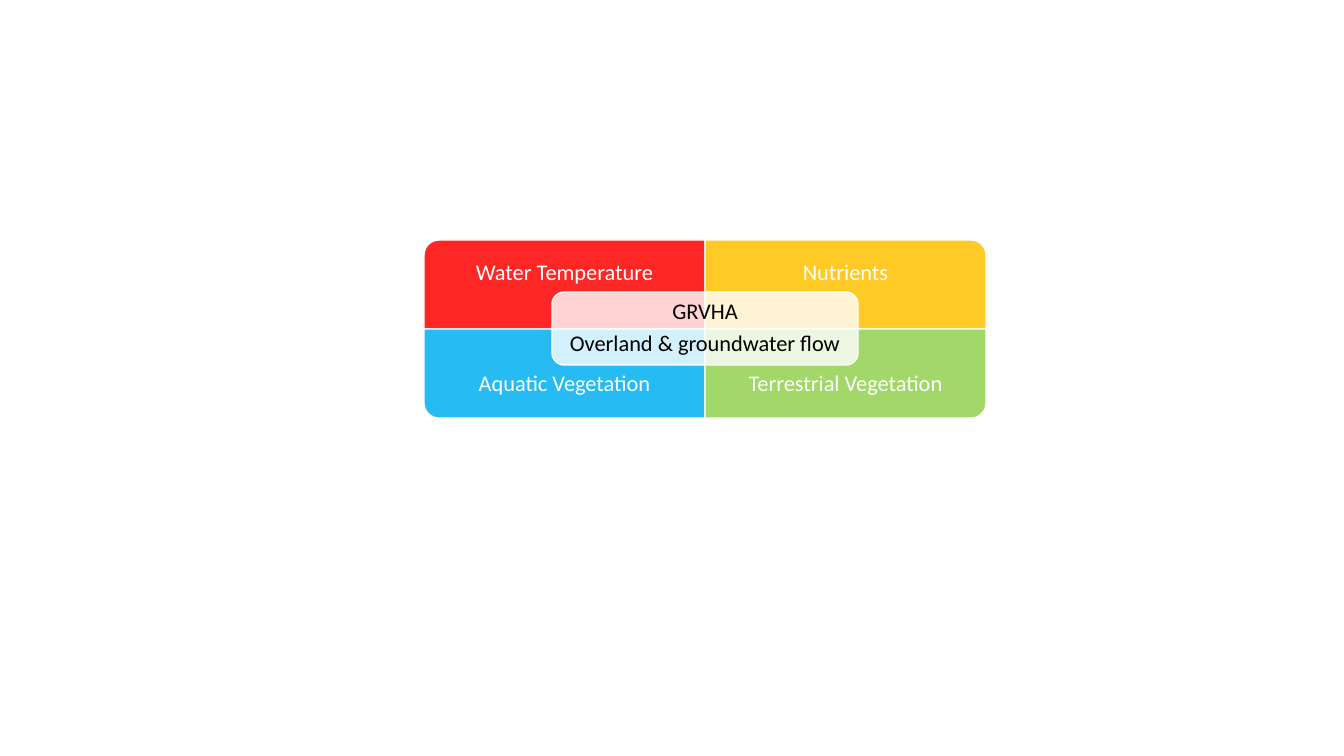
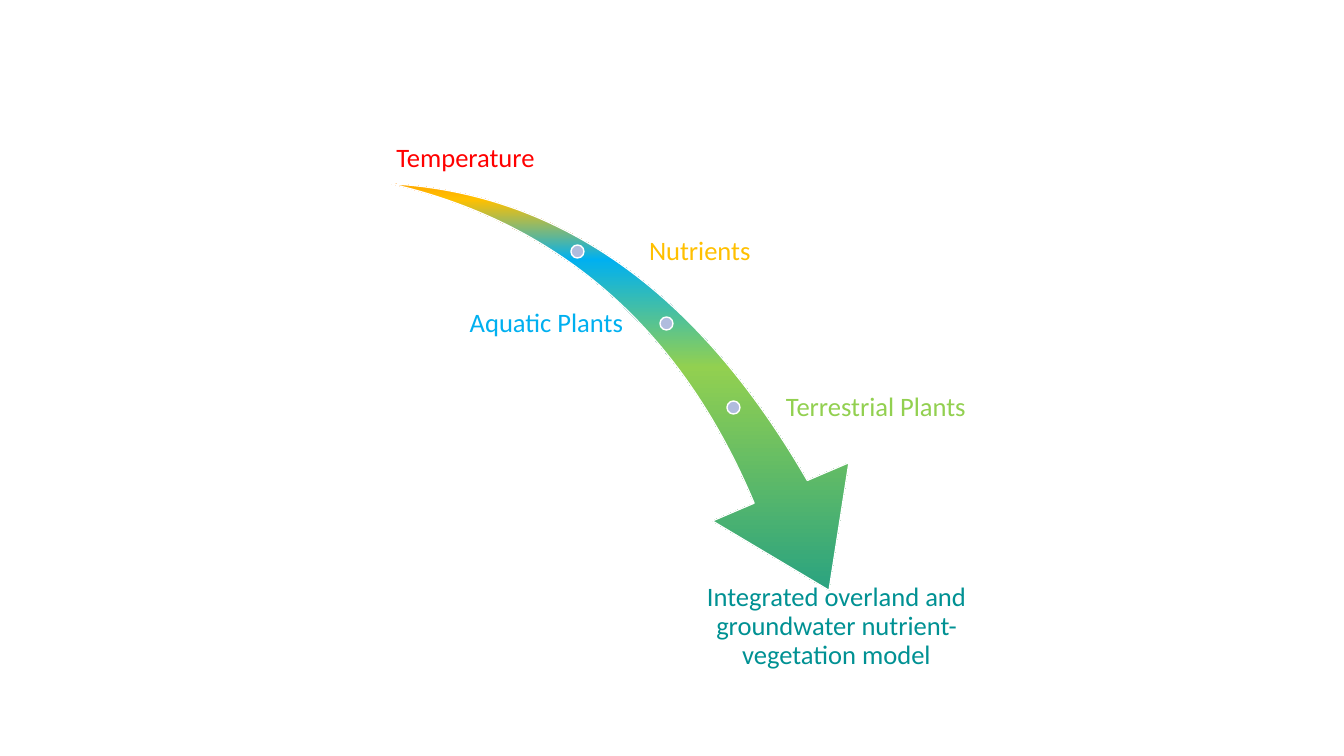
"""Build two diagrams of an overland and groundwater vegetation model."""
from dataclasses import dataclass

from lxml.etree import SubElement
from pptx import Presentation
from pptx.dml.color import RGBColor
from pptx.enum.shapes import MSO_SHAPE as Preset
from pptx.enum.text import MSO_ANCHOR as Anchor, PP_ALIGN as Align
from pptx.oxml.ns import qn
from pptx.shapes.autoshape import Shape
from pptx.slide import Slide
from pptx.util import Emu, Pt


@dataclass(frozen=True)
class Theme:
    font: str = "Calibri"
    white: str = "FFFFFF"
    black: str = "000000"
    temperature: str = "FF0000"
    nutrients: str = "FFC000"
    aquatic: str = "00B0F0"
    terrestrial: str = "92D050"
    model: str = "009193"
    dot: str = "B0BCDE"
    matrix_size: int = 16
    stage_size: int = 19
    outline: int = 1
    line_spacing: float = 0.9
    space_after: float = 0.35


@dataclass(frozen=True)
class Box:
    left: int
    top: int
    width: int
    height: int


@dataclass(frozen=True)
class Quadrant:
    label: str
    color: str
    column: int
    row: int
    rotation: int


@dataclass(frozen=True)
class Stage:
    label: str
    color: str
    box: Box
    align: Align
    anchor: Anchor = Anchor.MIDDLE
    dot_left: int | None = None


THEME = Theme()
EMU_PER_PIXEL = 914400 / 100.8

MATRIX = Box(424, 240, 562, 178)
QUADRANT_LABEL_HEIGHT = 67
QUADRANTS = [
    Quadrant("Water Temperature", THEME.temperature, 0, 0, 270),
    Quadrant("Nutrients", THEME.nutrients, 1, 0, 0),
    Quadrant("Aquatic Vegetation", THEME.aquatic, 0, 1, 180),
    Quadrant("Terrestrial Vegetation", THEME.terrestrial, 1, 1, 90),
]
CORE = Box(552, 292, 306, 73)
CORE_LINES = ["GRVHA", "Overland & groundwater flow"]

SWOOSH = Box(378, 199, 516, 360)
SWOOSH_STOPS = {0: THEME.temperature, 20: THEME.nutrients, 30: THEME.aquatic,
                48: THEME.terrestrial, 100: THEME.model}
DOT_SIZE = 13
STAGES = [
    Stage("Temperature", THEME.temperature, Box(344, 80, 243, 96),
          Align.CENTER, Anchor.BOTTOM),
    Stage("Nutrients", THEME.nutrients, Box(646, 204, 355, 96),
          Align.LEFT, dot_left=571),
    Stage("Aquatic Plants", THEME.aquatic, Box(344, 276, 282, 96),
          Align.RIGHT, dot_left=660),
    Stage("Terrestrial Plants", THEME.terrestrial, Box(783, 360, 217, 96),
          Align.LEFT, dot_left=727),
    Stage("Integrated overland and groundwater nutrient-vegetation model",
          THEME.model, Box(672, 581, 329, 96), Align.CENTER, Anchor.TOP),
]


def px(pixels: float) -> Emu:
    return Emu(round(pixels * EMU_PER_PIXEL))


def place(box: Box) -> tuple[Emu, Emu, Emu, Emu]:
    return px(box.left), px(box.top), px(box.width), px(box.height)


def apply_format(target: object, values: dict[str, object]) -> None:
    for name, value in values.items():
        setattr(target, name, value)


def write_text(shape: Shape, lines: list[str], size: int, color: str, inset: int,
               align: Align = Align.CENTER, anchor: Anchor = Anchor.MIDDLE) -> None:
    frame = shape.text_frame
    margins = {f"margin_{side}": px(inset) for side in ("left", "top", "right", "bottom")}
    apply_format(frame, {"word_wrap": True, "vertical_anchor": anchor, **margins})
    frame.text = "\n".join(lines)
    for paragraph in frame.paragraphs:
        apply_format(paragraph, {"alignment": align, "line_spacing": THEME.line_spacing,
                                 "space_after": Pt(size * THEME.space_after)})
        apply_format(paragraph.runs[0].font, {"name": THEME.font, "size": Pt(size)})
        paragraph.runs[0].font.color.rgb = RGBColor.from_string(color)


def add_outlined(slide: Slide, preset: Preset, box: Box, rotation: float = 0) -> Shape:
    shape = slide.shapes.add_shape(preset, *place(box))
    shape.rotation = rotation
    shape.shadow.inherit = False
    shape.line.color.rgb = RGBColor.from_string(THEME.white)
    shape.line.width = Pt(THEME.outline)
    return shape


def fill_solid(shape: Shape, color: str, opacity: int = 100) -> None:
    shape.fill.solid()
    shape.fill.fore_color.rgb = RGBColor.from_string(color)
    if opacity < 100:
        tint = shape._element.spPr.find(qn("a:solidFill")).find(qn("a:srgbClr"))
        SubElement(tint, qn("a:alpha"), val=str(opacity * 1000))


def fill_downward(shape: Shape, stops: dict[int, str]) -> None:
    shape.fill.gradient()
    shape.fill.gradient_angle = 270
    gradient = shape._element.spPr.find(qn("a:gradFill"))
    gradient.set("rotWithShape", "0")
    stop_list = gradient.find(qn("a:gsLst"))
    for old_stop in list(stop_list):
        stop_list.remove(old_stop)
    for percent, color in stops.items():
        stop = SubElement(stop_list, qn("a:gs"), pos=str(percent * 1000))
        SubElement(stop, qn("a:srgbClr"), val=color)


def draw_quadrant(slide: Slide, quadrant: Quadrant) -> None:
    width, height = MATRIX.width // 2, MATRIX.height // 2
    left = MATRIX.left + quadrant.column * width
    top = MATRIX.top + quadrant.row * height
    tile = Box(left, top, width, height)
    if quadrant.rotation % 180:
        shift = (width - height) // 2
        tile = Box(left + shift, top - shift, height, width)
    panel = add_outlined(slide, Preset.ROUND_1_RECTANGLE, tile, quadrant.rotation)
    fill_solid(panel, quadrant.color, 85)
    label_top = top + quadrant.row * (height - QUADRANT_LABEL_HEIGHT)
    label = slide.shapes.add_textbox(
        *place(Box(left, label_top, width, QUADRANT_LABEL_HEIGHT)))
    write_text(label, [quadrant.label], THEME.matrix_size, THEME.white, 12)


def draw_stage(slide: Slide, stage: Stage) -> None:
    if stage.dot_left is not None:
        dot_top = stage.box.top + (stage.box.height - DOT_SIZE) // 2
        dot = add_outlined(slide, Preset.OVAL,
                           Box(stage.dot_left, dot_top, DOT_SIZE, DOT_SIZE))
        fill_solid(dot, THEME.dot)
    label = slide.shapes.add_textbox(*place(stage.box))
    write_text(label, [stage.label], THEME.stage_size, stage.color, 3,
               stage.align, stage.anchor)


def build_matrix(slide: Slide) -> None:
    for quadrant in QUADRANTS:
        draw_quadrant(slide, quadrant)
    core = add_outlined(slide, Preset.ROUNDED_RECTANGLE, CORE)
    fill_solid(core, THEME.white, 80)
    write_text(core, CORE_LINES, THEME.matrix_size, THEME.black, 7)


def build_progression(slide: Slide) -> None:
    swoosh = add_outlined(slide, Preset.SWOOSH_ARROW, SWOOSH, 73.3)
    swoosh.adjustments[0] = 0.16
    swoosh.adjustments[1] = 0.31
    fill_downward(swoosh, SWOOSH_STOPS)
    for stage in STAGES:
        draw_stage(slide, stage)


def main() -> None:
    deck = Presentation()
    apply_format(deck, {"slide_width": px(1344), "slide_height": px(756)})
    blank = deck.slide_layouts[6]
    for build in (build_matrix, build_progression):
        build(deck.slides.add_slide(blank))
    deck.save("out.pptx")


main()
